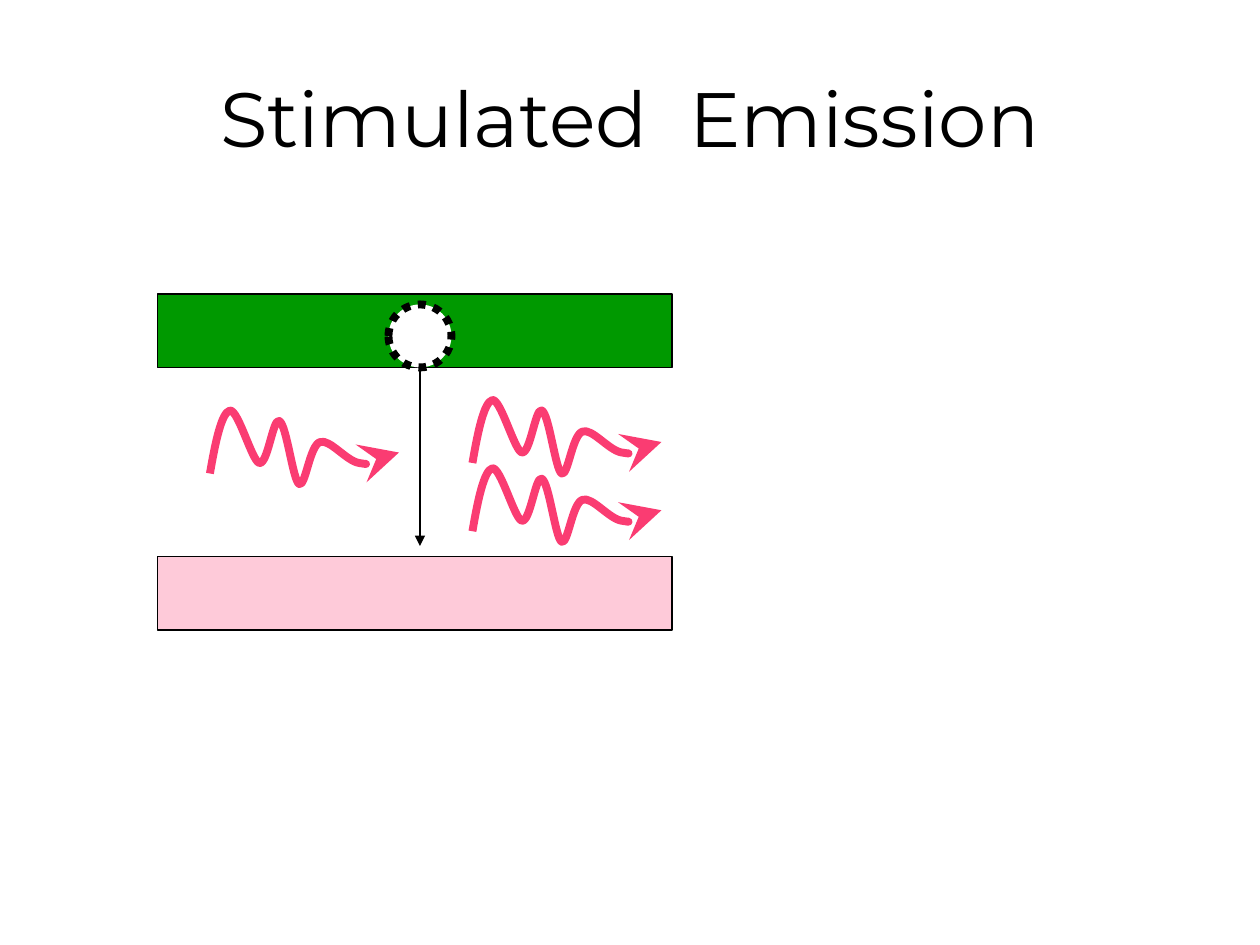
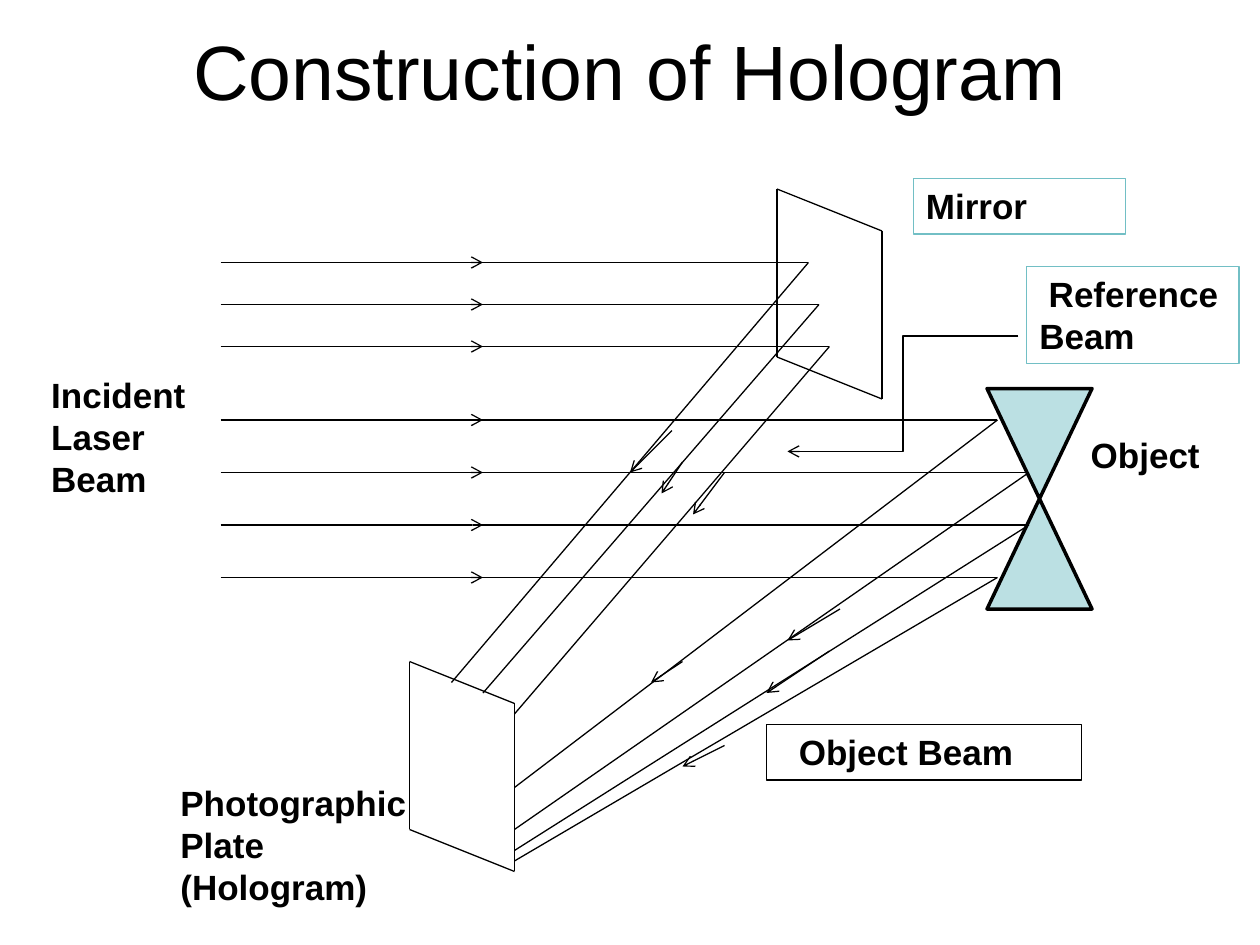
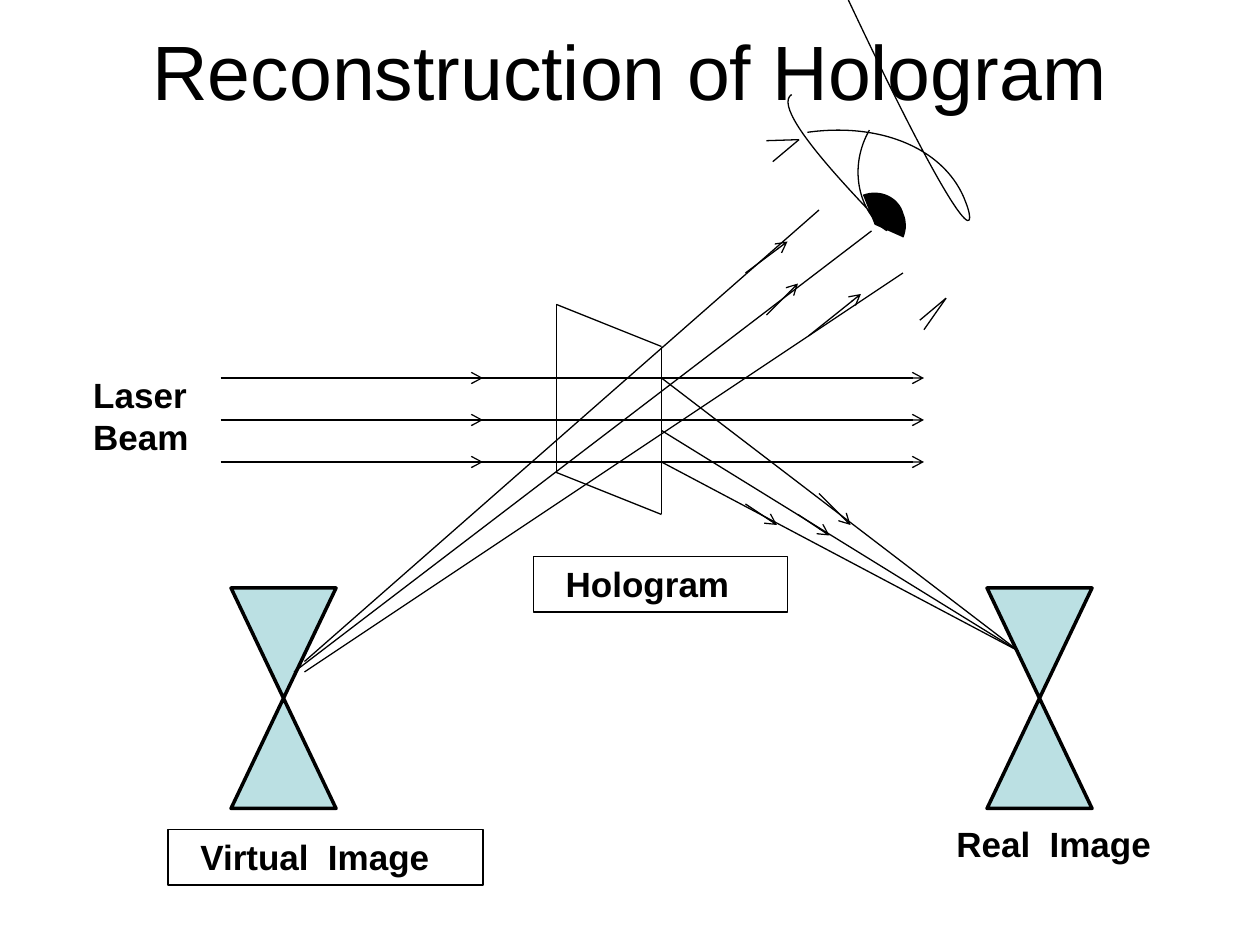
import math

from lxml import etree
from pptx import Presentation
from pptx.dml.color import RGBColor
from pptx.enum.dml import MSO_LINE
from pptx.enum.shapes import MSO_CONNECTOR, MSO_SHAPE
from pptx.enum.text import MSO_ANCHOR, MSO_AUTO_SIZE, PP_ALIGN
from pptx.oxml.ns import qn
from pptx.util import Pt

PX = 7620  # EMU per px, 120 px to the inch
BLACK, WHITE = "000000", "FFFFFF"
GREEN, ROSE, PINK = "009900", "FECAD9", "FA3C72"
ICE, TEAL = "BBE0E3", "72BFC5"
RECT, OVAL = MSO_SHAPE.RECTANGLE, MSO_SHAPE.OVAL
GLASS = MSO_SHAPE.FLOWCHART_COLLATE
LINE, BENT = MSO_CONNECTOR.STRAIGHT, MSO_CONNECTOR.ELBOW
DOTS = MSO_LINE.ROUND_DOT
LEFT, MID = PP_ALIGN.LEFT, PP_ALIGN.CENTER
TOP, CENTER, BASE = MSO_ANCHOR.TOP, MSO_ANCHOR.MIDDLE, MSO_ANCHOR.BOTTOM
GROW = MSO_AUTO_SIZE.SHAPE_TO_FIT_TEXT
HEAD, TAIL = "a:headEnd", "a:tailEnd"
INDENT = 19
SPAN = 530  # length of each long incident ray

WAVE = [(0, 61), (5, 32), (11, 3), (19, 1), (27, 0), (40, 49),
        (47, 51), (55, 53), (60, 8), (66, 11), (73, 14), (79, 68),
        (85, 71), (91, 74), (95, 34), (105, 31), (114, 28), (130, 49),
        (142, 51), (155, 53), (167, 47), (180, 41)]


def emu(*vals):
    return [round(v * PX) for v in vals]


def rgb(code):
    return RGBColor.from_string(code)


def ink(shape, color=BLACK, width=0.75, tip=None, end=TAIL, size="med"):
    """Stroke a shape, with an optional arrowhead."""
    shape.line.color.rgb = rgb(color)
    shape.line.width = Pt(width)
    if tip:
        ln = shape.line._get_or_add_ln()
        etree.SubElement(ln, qn(end), type=tip, w=size, len=size)


def paint(shape, color):
    shape.fill.solid()
    shape.fill.fore_color.rgb = rgb(color)


def block(slide, kind, box, fill, width=0.75):
    shape = slide.shapes.add_shape(kind, *emu(*box))
    shape.shadow.inherit = False
    paint(shape, fill)
    ink(shape, width=width)
    return shape


def ray(slide, x1, y1, x2, y2, tip=None, kind=LINE, end=TAIL):
    wire = slide.shapes.add_connector(kind, *emu(x1, y1, x2, y2))
    ink(wire, tip=tip, end=end)
    etree.SubElement(wire._element.spPr, qn("a:effectLst"))


def step(route, tag, pts=()):
    """Add one drawing step to an outline."""
    node = etree.SubElement(route, qn(tag))
    for x, y in pts:
        etree.SubElement(node, qn("a:pt"), x=str(x), y=str(y))


def outline(shape, knots, **flags):
    """Add a chain of cubic curves to a freeform."""
    routes = shape._element.spPr.find(qn("a:custGeom")).find(qn("a:pathLst"))
    route = etree.SubElement(routes, qn("a:path"), w=str(shape.width),
                             h=str(shape.height), **flags)
    step(route, "a:moveTo", knots[:1])
    for i in range(1, len(knots), 3):
        step(route, "a:cubicBezTo", knots[i:i + 3])
    return routes, route


def frame(slide, x, y, w, h):
    """Make a freeform with a set frame and an empty outline."""
    pen = slide.shapes.build_freeform(*emu(x, y))
    pen.add_line_segments([emu(x + w, y + h)], close=False)
    shape = pen.convert_to_shape()
    shape.shadow.inherit = False
    shape.fill.background()
    for old in shape._element.spPr.iter(qn("a:pathLst")):
        for route in list(old):
            old.remove(route)
    return shape


def wave(slide, x, y):
    shape = frame(slide, x, y, 180, 75)
    outline(shape, [emu(*p) for p in WAVE], fill="none")
    ink(shape, PINK, 4.5, "stealth", size="lg")


def arc(slide, box, turn, knots, hub, fill=None):
    """Draw a turned arc, given by its points on the slide, and its sector."""
    x, y, w, h = box
    cos, sin = math.cos(math.radians(turn)), math.sin(math.radians(turn))

    def local(px, py):
        dx, dy = px - x - w / 2, py - y - h / 2
        return emu(dx * cos + dy * sin + w / 2, dy * cos - dx * sin + h / 2)

    shape = frame(slide, *box)
    pts = [local(*p) for p in knots]
    outline(shape, pts, fill="none")
    sector = outline(shape, pts, stroke="0")[1]
    step(sector, "a:lnTo", [local(*hub)])
    step(sector, "a:lnTo", pts[:1])
    step(sector, "a:close")
    shape.rotation = turn
    if fill:
        paint(shape, fill)
    ink(shape)


def text(slide, box, lines, size=20, font="Arial", bold=True, align=LEFT,
         anchor=TOP, indent=INDENT, edge=None):
    """Add a text box; a bar in a line stands for a double-width space."""
    shape = slide.shapes.add_textbox(*emu(*box))
    if edge:
        ink(shape, edge)
    body = shape.text_frame
    body.word_wrap = True
    body.vertical_anchor = anchor
    if bold and anchor == TOP:
        body.auto_size = GROW
    for i, line in enumerate(lines):
        par = body.add_paragraph() if i else body.paragraphs[0]
        par.alignment = align
        par._p.get_or_add_pPr().set("indent", str(indent * PX))
        for n, part in enumerate(line.replace("|", "| |").split("|")):
            run = par.add_run()
            run.text = part
            run.font.size = Pt(size)
            run.font.name = font
            run.font.bold = bold
            run.font.color.rgb = rgb(BLACK)
            if n % 2:
                run._r.get_or_add_rPr().set("spc", str(size * 27))


def title(slide, line, box=(117, 16, 966, 114), font="Arial", anchor=TOP):
    text(slide, box, [line], 44, font, False, MID, anchor, indent=0)


def plate(slide, x, y):
    """Draw a slanted pane seen from the side."""
    for x1, y1, x2, y2 in ((0, 0, 0, 160), (100, 40, 100, 200),
                           (0, 160, 100, 200), (0, 0, 100, 40)):
        ray(slide, x + x1, y + y1, x + x2, y + y2)


def glass(slide, x, y):
    block(slide, GLASS, (x, y, 100, 210), ICE, 2)


def marks(slide, rows):
    for row in rows:
        ray(slide, *row, tip="arrow")


def emit(slide):
    title(slide, "Stimulated|Emission", (60, 36, 1080, 150),
          "Montserrat", CENTER)
    # Energy levels and the falling electron
    for y, fill in ((280, GREEN), (530, ROSE)):
        block(slide, RECT, (150, y, 490, 70), fill)
    ball = block(slide, OVAL, (370, 290, 60, 60), WHITE, 4.5)
    ball.line.dash_style = DOTS
    ray(slide, 400, 520, 400, 350, "triangle", end=HEAD)
    # Photons
    for x, y in ((200, 390), (450, 445), (450, 380)):
        wave(slide, x, y)


def build(slide):
    title(slide, "Construction of Hologram")
    plate(slide, 740, 180)
    plate(slide, 390, 630)
    glass(slide, 940, 370)
    # Incident rays and their reflections
    for x, y, endx, endy in ((770, 250, 430, 650), (780, 290, 460, 660),
                             (790, 330, 490, 680), (950, 400, 490, 750),
                             (980, 450, 490, 790), (980, 500, 490, 810),
                             (950, 550, 490, 820)):
        ray(slide, x - SPAN, y, x, y)
        ray(slide, 210, y, 460, y, "arrow")
        ray(slide, x, y, endx, endy)
    marks(slide, ((640, 410, 600, 450), (650, 440, 630, 470),
                  (690, 450, 660, 490), (650, 630, 620, 650),
                  (800, 580, 750, 610), (790, 620, 730, 660),
                  (690, 710, 650, 730)))
    # Labels
    text(slide, (18, 350, 202, 132), ["Incident", "Laser", "Beam"])
    text(slide, (870, 170, 202, 53), ["Mirror"], indent=0, edge=TEAL)
    text(slide, (978, 254, 202, 92), ["Reference Beam"],
         indent=INDENT // 2, edge=TEAL)
    text(slide, (1008, 407, 202, 53), ["Object"])
    text(slide, (160, 697, 250, 173), ["Photographic Plate (Hologram)"],
         anchor=BASE, indent=0)
    text(slide, (730, 690, 300, 53), ["Object Beam"], edge=BLACK)
    ray(slide, 970, 320, 750, 430, "arrow", BENT)


def eye(slide):
    arc(slide, (750, 108, 170, 197), 340.1,
        [(769, 126), (841, 116), (902, 143), (920, 193),
         (931, 221), (925, 254), (781, -58)], (761, 251))
    arc(slide, (826, 118, 80, 133), 307.1,
        [(828, 124), (809, 157), (816, 198), (842, 218),
         (865, 235), (727, 107), (754, 90)], (892, 155))
    arc(slide, (830, 179, 30, 50), 340.1,
        [(822, 186), (838, 180), (856, 188), (860, 204),
         (863, 211), (863, 218), (860, 226)], (833, 214), BLACK)
    for lash in ((761, 133, 730, 134), (901, 284, 880, 314),
                 (901, 284, 876, 305), (761, 133, 736, 154)):
        ray(slide, *lash)


def view(slide):
    title(slide, "Reconstruction of Hologram")
    plate(slide, 530, 290)
    glass(slide, 940, 560)
    glass(slide, 220, 560)
    # Laser rays through the plate
    for x, y in ((770, 360), (780, 400), (790, 440)):
        ray(slide, x - SPAN, y, x, y)
        ray(slide, 560, y, 630, y)
        for start in (210, 630):
            ray(slide, start, y, start + 250, y, "arrow")
    # Rays to the real image
    for y in (360, 410, 440):
        ray(slide, 630, y, 970, 620)
    # Rays between the virtual image and the eye
    for row in ((830, 220, 280, 640), (290, 630, 780, 200),
                (290, 640, 860, 260)):
        ray(slide, *row)
    marks(slide, ((780, 470, 810, 500), (760, 490, 790, 510),
                  (710, 480, 740, 500), (710, 260, 750, 230),
                  (730, 300, 760, 270), (770, 320, 820, 280)))
    # Labels
    text(slide, (58, 350, 202, 92), ["Laser", "Beam"])
    text(slide, (880, 777, 242, 53), ["Real|Image"])
    text(slide, (160, 790, 300, 53), ["Virtual|Image"], edge=BLACK)
    text(slide, (508, 530, 242, 53), ["Hologram"], edge=BLACK)
    eye(slide)


def main():
    deck = Presentation()
    deck.slide_width, deck.slide_height = emu(1200, 900)
    for draw in (emit, build, view):
        draw(deck.slides.add_slide(deck.slide_layouts[6]))
    deck.save("out.pptx")


if __name__ == "__main__":
    main()
